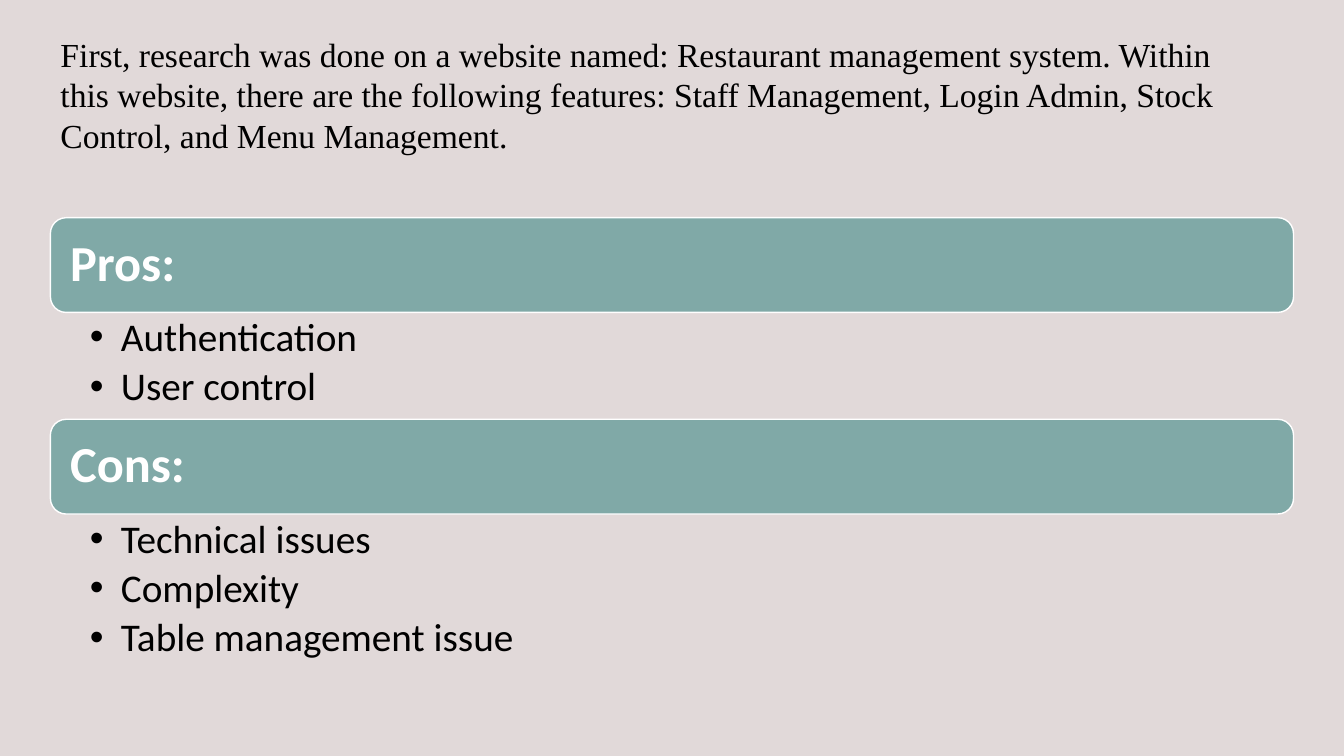
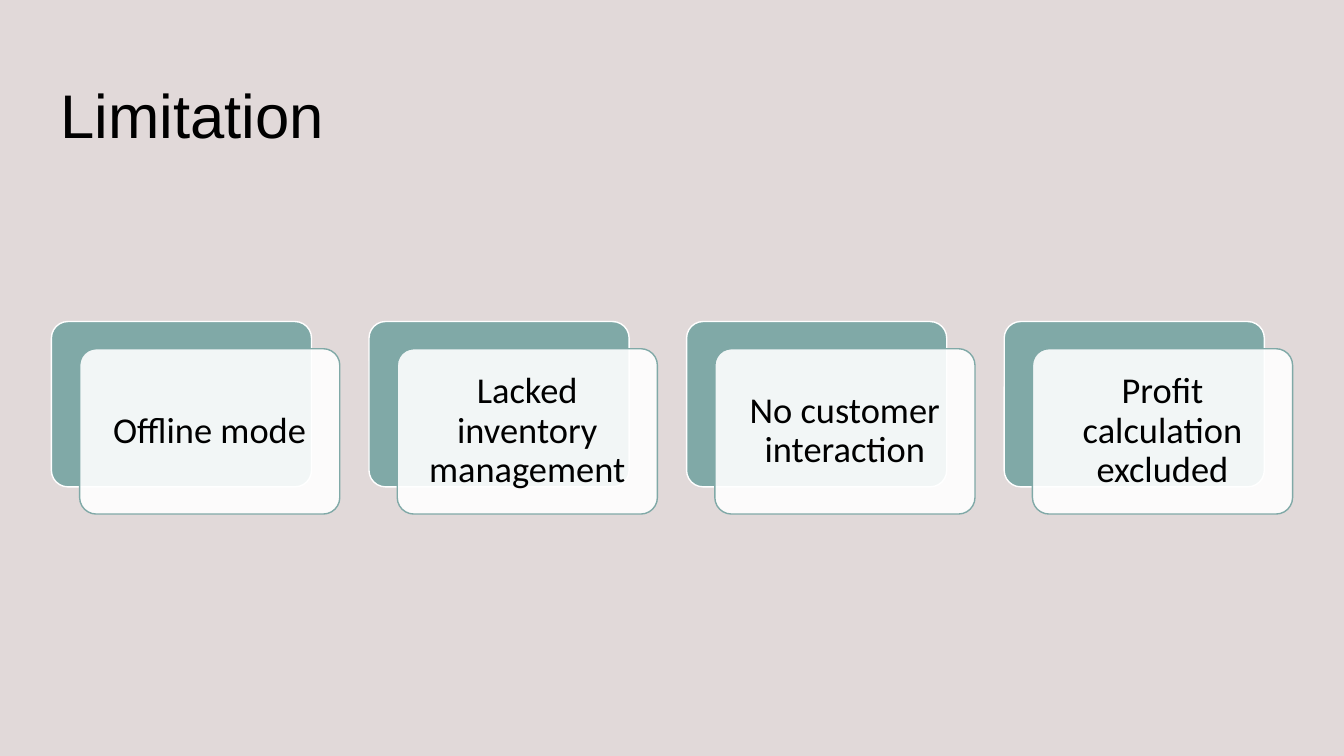
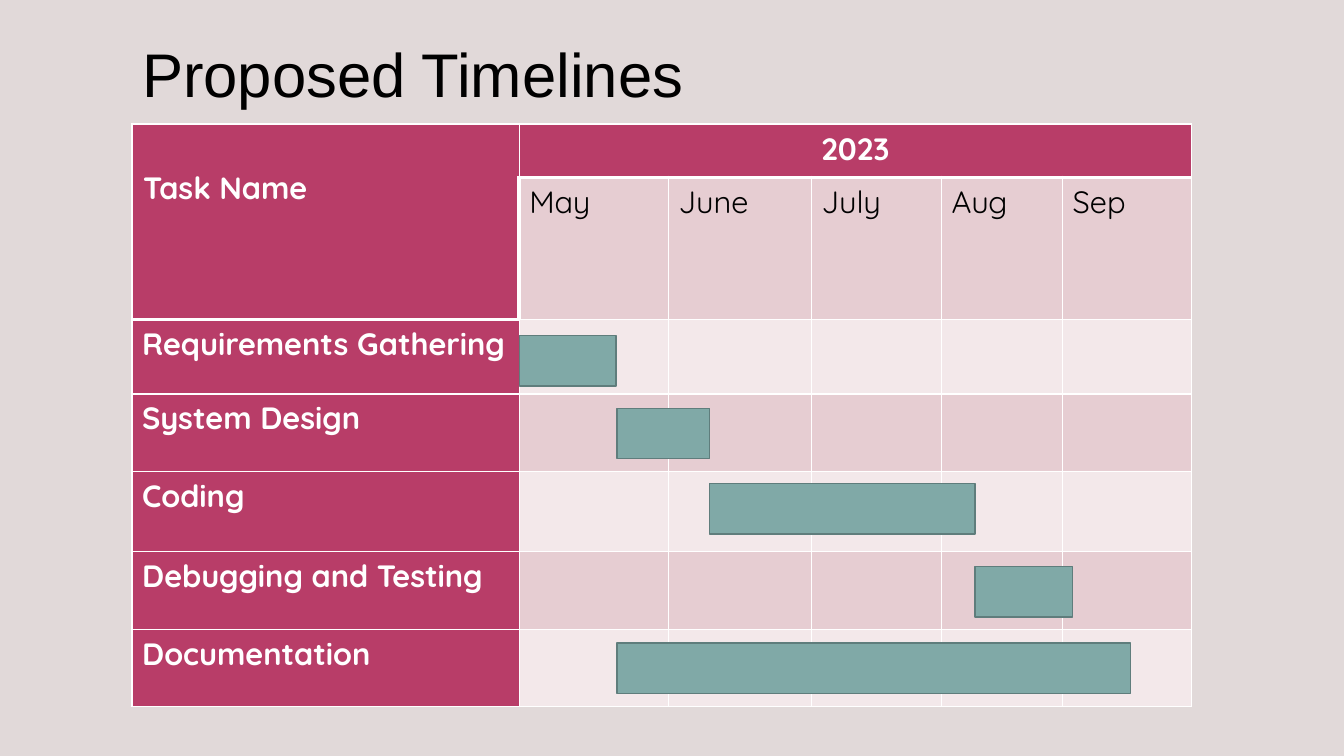
from dataclasses import dataclass, field
from typing import Any

from lxml.etree import SubElement as Sub
from pptx import Presentation
from pptx.dml.color import RGBColor as Rgb
from pptx.enum.shapes import MSO_SHAPE as Form
from pptx.enum.text import MSO_ANCHOR as Anchor, MSO_AUTO_SIZE as Fit, PP_ALIGN as Align
from pptx.oxml.ns import qn
from pptx.util import Inches, Pt

HUES = {
    "ground": "E1D9D9",
    "teal": "80A9A7",
    "edge": "5F7D7C",
    "white": "FFFFFF",
    "black": "000000",
    "rose": "B83D68",
    "blush": "E6CDD2",
    "pale": "F3E8EA",
}


@dataclass(frozen=True)
class Box:
    left: float
    top: float
    width: float
    height: float

    def spots(self) -> list[int]:
        return [Inches(n) for n in (self.left, self.top, self.width, self.height)]


@dataclass(frozen=True)
class Style:
    face: str
    size: float
    hue: str
    bold: bool = False
    para: dict[str, Any] = field(default_factory=dict)
    pads: tuple[float, float, float, float] = (0.1, 0.05, 0.1, 0.05)
    anchor: Any = Anchor.TOP


@dataclass(frozen=True)
class Part:
    head: str
    top: float
    depth: float
    points: tuple[str, ...]


@dataclass(frozen=True)
class Bar:
    left: float
    top: float
    width: float


TITLE = Style("Arial", 44, "black", para={"alignment": Align.LEFT}, anchor=Anchor.MIDDLE)
INTRO = Style("Times New Roman", 24, "black", para={"alignment": Align.LEFT},
              pads=(0.1, 0, 0.1, 0.38), anchor=Anchor.MIDDLE)
HEAD = Style("Calibri", 36, "white", True, {"alignment": Align.LEFT, "line_spacing": 0.9},
             (0.15,) * 4, Anchor.MIDDLE)
POINT = Style("Calibri", 28, "black",
              para={"line_spacing": 0.9, "space_before": Pt(0), "space_after": Pt(5)},
              pads=(0.39, 0.05, 0.28, 0.05))
CARD = Style("Calibri", 26, "black", para={"alignment": Align.CENTER, "line_spacing": 0.9},
             pads=(0.11,) * 4, anchor=Anchor.MIDDLE)
TASK = Style("Quicksand", 22, "white", True, {"alignment": Align.JUSTIFY})
CORNER = Style("Quicksand", 22, "white", True, {"alignment": Align.JUSTIFY},
               (0.11, 0.44, 0.11, 0.06))
YEAR = Style("Quicksand", 22, "white", True, {"alignment": Align.CENTER},
             (0.11, 0.06, 0.11, 0.06))
MONTH = Style("Quicksand", 22, "black", para={"alignment": Align.JUSTIFY})

PARTS = (
    Part("Pros:", 2.16, 1.06, ("Authentication", "User control")),
    Part("Cons:", 4.16, 1.59, ("Technical issues", "Complexity", "Table management issue")),
)
LIMITS = ("Offline mode", "Lacked inventory management",
          "No customer interaction", "Profit calculation excluded")
MONTHS = ("May", "June", "July", "Aug", "Sep")
TASKS = ("Requirements Gathering", "System Design", "Coding",
         "Debugging and Testing", "Documentation")
COLS = (3.84, 1.48, 1.42, 1.29, 1.2, 1.28)
ROWS = (0.53, 1.41, 0.74, 0.77, 0.79, 0.78, 0.76)
BARS = (
    Bar(5.15, 3.33, 0.96),
    Bar(6.12, 4.05, 0.92),
    Bar(7.04, 4.8, 2.63),
    Bar(9.67, 5.62, 0.97),
    Bar(6.12, 6.38, 5.09),
)
THICK = ({(1, 1, "L"), (0, 0, "B"), (1, 0, "B"), (2, 0, "T")}
         | {(0, col, "B") for col in range(1, 6)}
         | {(1, col, "T") for col in range(1, 6)})


def tint(name: str) -> Rgb:
    return Rgb.from_string(HUES[name])


def apply(target: Any, values: dict[str, Any]) -> None:
    for key, value in values.items():
        setattr(target, key, value)


def margins(style: Style) -> dict[str, Any]:
    sides = ("left", "top", "right", "bottom")
    pads = {f"margin_{side}": Inches(pad) for side, pad in zip(sides, style.pads)}
    return {**pads, "vertical_anchor": style.anchor}


def write(frame: Any, lines: tuple[str, ...], style: Style) -> None:
    frame.text = "\n".join(lines)
    for para in frame.paragraphs:
        apply(para, style.para)
        for run in para.runs:
            apply(run.font, {"name": style.face, "size": Pt(style.size), "bold": style.bold})
            run.font.color.rgb = tint(style.hue)


def fill_text(shape: Any, lines: tuple[str, ...], style: Style) -> None:
    frame = shape.text_frame
    apply(frame, {"word_wrap": True, "auto_size": Fit.NONE, **margins(style)})
    write(frame, lines, style)


def place(shape: Any, box: Box) -> None:
    apply(shape, dict(zip(("left", "top", "width", "height"), box.spots())))


def add_block(slide: Any, form: Any, box: Box, fill: str, line: str) -> Any:
    shape = slide.shapes.add_shape(form, *box.spots())
    shape.shadow.inherit = False
    shape.fill.solid()
    shape.fill.fore_color.rgb = tint(fill)
    shape.line.color.rgb = tint(line)
    shape.line.width = Pt(1)
    return shape


def add_slide(deck: Any, layout: int, text: str, left: float, top: float,
              style: Style = TITLE) -> Any:
    slide = deck.slides.add_slide(deck.slide_layouts[layout])
    title = slide.shapes.title
    place(title, Box(left, top, 11.92, 1.45))
    fill_text(title, (text,), style)
    return slide


def add_part(slide: Any, part: Part, body: Any) -> None:
    band = add_block(slide, Form.ROUNDED_RECTANGLE, Box(0.5, part.top, 12.33, 0.94),
                     "teal", "white")
    fill_text(band, (part.head,), HEAD)
    place(body, Box(0.5, part.top + 0.94, 12.33, part.depth))
    fill_text(body, part.points, POINT)
    for para in body.text_frame.paragraphs:
        props = para._p.get_or_add_pPr()
        props.set("marL", str(Inches(0.31)))
        props.set("indent", str(-Inches(0.31)))


def add_card(slide: Any, left: float, text: str) -> None:
    back = add_block(slide, Form.ROUNDED_RECTANGLE, Box(left, 3.19, 2.58, 1.64),
                     "teal", "white")
    front = add_block(slide, Form.ROUNDED_RECTANGLE, Box(left + 0.28, 3.46, 2.58, 1.64),
                      "white", "teal")
    for shape in (back, front):
        shape.adjustments[0] = 0.1
    color = front._element.spPr.find(qn("a:solidFill"))[0]
    Sub(color, qn("a:alpha"), val="90000")
    fill_text(front, (text,), CARD)


def edge_cell(cell: Any, row: int, col: int) -> None:
    props = cell._tc.get_or_add_tcPr()
    for side in "LRTB":
        width = Pt(3 if (row, col, side) in THICK else 1)
        line = Sub(props, qn(f"a:ln{side}"), w=str(width))
        Sub(Sub(line, qn("a:solidFill")), qn("a:srgbClr"), val=HUES["white"])


def fill_cell(cell: Any, text: str, style: Style) -> None:
    apply(cell, margins(style))
    write(cell.text_frame, (text,), style)


def add_plan(slide: Any) -> None:
    box = Box(1.31, 1.23, sum(COLS), sum(ROWS))
    table = slide.shapes.add_table(len(ROWS), len(COLS), *box.spots()).table
    apply(table, {"first_row": False, "horz_banding": False})
    for col, width in enumerate(COLS):
        table.columns[col].width = Inches(width)
    for row, height in enumerate(ROWS):
        table.rows[row].height = Inches(height)
        for col in range(len(COLS)):
            cell = table.cell(row, col)
            edge_cell(cell, row, col)
            cell.fill.solid()
            shade = "rose" if row == 0 or col == 0 else "blush" if row % 2 else "pale"
            cell.fill.fore_color.rgb = tint(shade)
    table.cell(0, 0).merge(table.cell(1, 0))
    table.cell(0, 1).merge(table.cell(0, 5))
    fill_cell(table.cell(0, 0), "Task Name", CORNER)
    fill_cell(table.cell(0, 1), "2023", YEAR)
    for col, month in enumerate(MONTHS, 1):
        fill_cell(table.cell(1, col), month, MONTH)
    for row, task in enumerate(TASKS, 2):
        fill_cell(table.cell(row, 0), task, TASK)


def main() -> None:
    deck = Presentation()
    apply(deck, {"slide_width": Inches(13.33), "slide_height": Inches(7.5)})
    ground = deck.slide_master.background.fill
    ground.solid()
    ground.fore_color.rgb = tint("ground")

    review = add_slide(
        deck, 3,
        "First, research was done on a website named: Restaurant management system. "
        "Within this website, there are the following features: Staff Management, "
        "Login Admin, Stock Control, and Menu Management.",
        0.5, 0.4, INTRO)
    for index, part in enumerate(PARTS, 1):
        add_part(review, part, review.placeholders[index])

    limits = add_slide(deck, 5, "Limitation", 0.5, 0.4)
    for index, text in enumerate(LIMITS):
        add_card(limits, 0.51 + 3.15 * index, text)

    plan = add_slide(deck, 5, "Proposed Timelines", 1.31, 0)
    add_plan(plan)
    for bar in BARS:
        add_block(plan, Form.RECTANGLE, Box(bar.left, bar.top, bar.width, 0.5), "teal", "edge")

    deck.save("out.pptx")


if __name__ == "__main__":
    main()
